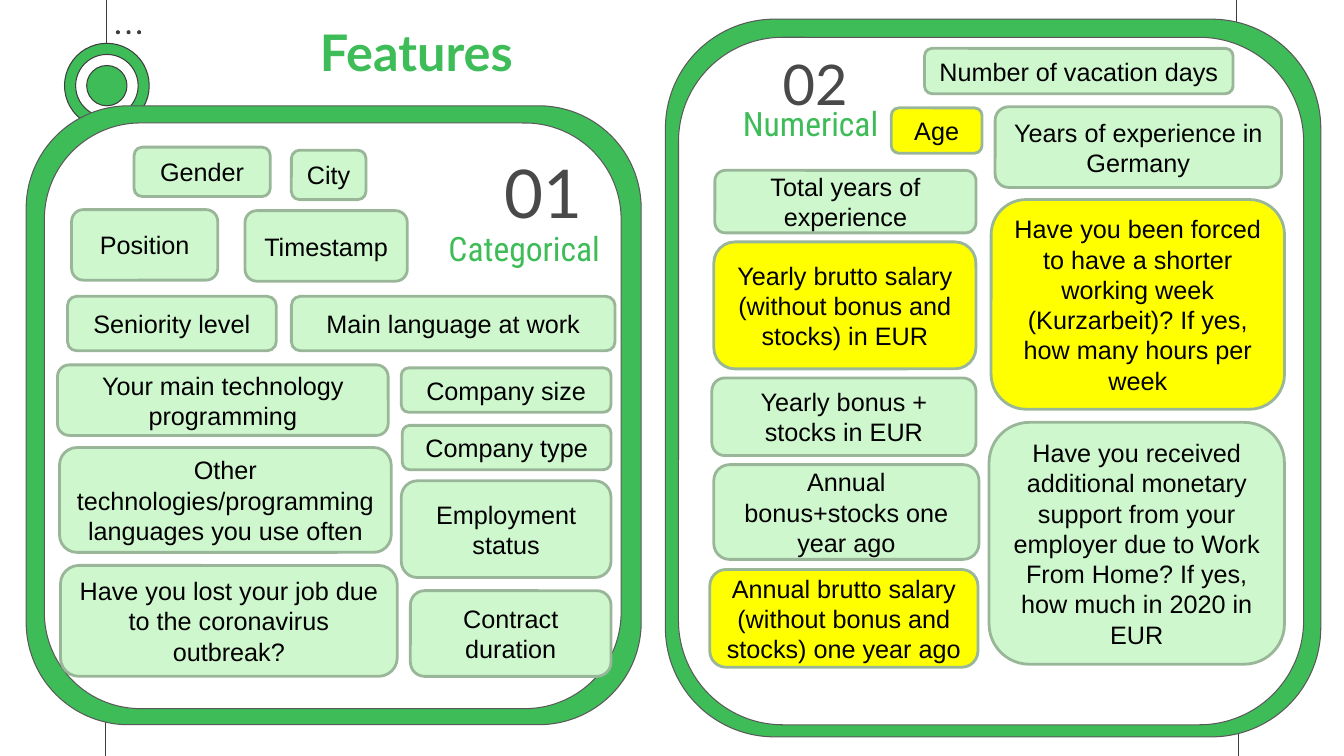
from lxml import etree
from pptx import Presentation
from pptx.dml.color import RGBColor
from pptx.enum.shapes import MSO_CONNECTOR, MSO_SHAPE
from pptx.enum.text import MSO_ANCHOR, PP_ALIGN
from pptx.oxml.ns import qn
from pptx.util import Inches, Pt

ROUNDED = MSO_SHAPE.ROUNDED_RECTANGLE
OVAL = MSO_SHAPE.OVAL
STRAIGHT = MSO_CONNECTOR.STRAIGHT
CENTER = PP_ALIGN.CENTER
TOP = MSO_ANCHOR.TOP
MIDDLE = MSO_ANCHOR.MIDDLE

GREEN, MINT, SAGE, YELLOW = "3DBC58", "CFF7CE", "99B798", "FFFF00"
WHITE, BLACK, DARK, GRAY, NUMBER = "FFFFFF", "000000", "3D3D3D", "595959", "494949"

CATEGORICAL_TILES = [
    ("Gender", 1.07, 0.41, 1.35, 0.49, MINT),
    ("City", 2.63, 0.44, 0.74, 0.49, MINT),
    ("Position", 0.45, 1.03, 1.45, 0.7, MINT),
    ("Timestamp", 2.17, 1.04, 1.61, 0.7, MINT),
    ("Seniority level", 0.41, 1.89, 2.07, 0.54, MINT),
    ("Main language at work", 2.63, 1.89, 3.21, 0.54, MINT),
    ("Your main technology programming", 0.31, 2.57, 3.28, 0.7, MINT),
    ("Company size", 3.72, 2.6, 2.08, 0.44, MINT),
    ("Company type", 3.73, 3.17, 2.07, 0.44, MINT),
    ("Other technologies/programming languages you use often",
     0.33, 3.39, 3.29, 1.04, MINT),
    ("Employment status", 3.72, 3.72, 2.08, 0.96, MINT),
    ("Have you lost your job due to the coronavirus outbreak?",
     0.34, 4.56, 3.34, 1.1, MINT),
    ("Contract duration", 3.81, 4.81, 1.99, 0.85, MINT),
]

NUMERICAL_TILES = [
    ("Number of vacation days", 2.57, 0.29, 3.06, 0.45, MINT),
    ("Age", 2.24, 0.88, 0.9, 0.45, YELLOW),
    ("Years of experience in Germany", 3.27, 0.87, 2.84, 0.8, MINT),
    ("Total years of experience", 0.49, 1.5, 2.59, 0.62, MINT),
    ("Yearly brutto salary (without bonus and stocks) in EUR",
     0.48, 2.21, 2.6, 1.26, YELLOW),
    ("Yearly bonus + stocks in EUR", 0.46, 3.56, 2.62, 0.77, MINT),
    ("Annual bonus+stocks one year ago", 0.48, 4.42, 2.63, 0.94, MINT),
    ("Annual brutto salary (without bonus and stocks) one year ago",
     0.44, 5.46, 2.66, 0.97, YELLOW),
    ("Have you been forced to have a shorter working week (Kurzarbeit)? "
     "If yes, how many hours per week", 3.23, 1.79, 2.91, 2.08, YELLOW),
    ("Have you received additional monetary support from your employer due to "
     "Work From Home? If yes, how much in 2020 in EUR", 3.21, 4, 2.93, 2.4, MINT),
]


def color(value):
    return RGBColor.from_string(value)


def add_figure(page, kind, box, fill, outline=None, weight=0.75):
    figure = page.shapes.add_shape(kind, *map(Inches, box))
    figure.shadow.inherit = False
    figure.fill.solid()
    figure.fill.fore_color.rgb = color(fill)
    if outline:
        figure.line.color.rgb = color(outline)
        figure.line.width = Pt(weight)
    else:
        figure.line.fill.background()
    return figure


def write(frame, text, font, size, shade, anchor=MIDDLE, bold=False):
    frame.word_wrap = True
    frame.vertical_anchor = anchor
    para = frame.paragraphs[0]
    para.text = text
    para.alignment = CENTER
    para.font.name = font
    para.font.size = Pt(size)
    para.font.bold = bold
    para.font.color.rgb = color(shade)


def add_heading(page, box, text, font, size, shade, anchor=MIDDLE, bold=False):
    frame = page.shapes.add_textbox(*map(Inches, box)).text_frame
    frame.margin_left = frame.margin_right = Inches(0.13)
    frame.margin_top = frame.margin_bottom = Inches(0.13)
    write(frame, text, font, size, shade, anchor, bold)


def add_vertical_line(page, x, top, bottom):
    line = page.shapes.add_connector(
        STRAIGHT, Inches(x), Inches(top), Inches(x), Inches(bottom))
    line.line.color.rgb = color(DARK)
    line.line.width = Pt(0.75)
    etree.SubElement(line._element.spPr, qn("a:effectLst"))


def add_backdrop(page, width, height):
    add_vertical_line(page, 1.06, 0, 3.65)
    add_vertical_line(page, 1.05, 4.35, height)
    add_vertical_line(page, width - 1.07, 0, 3.15)
    add_vertical_line(page, width - 1.05, 3.88, height)
    center_x, center_y = 1.06, 0.85
    for diameter, fill in ((0.84, GREEN), (0.62, WHITE), (0.4, GREEN)):
        box = (center_x - diameter / 2, center_y - diameter / 2, diameter, diameter)
        add_figure(page, OVAL, box, fill, DARK)
    for index in range(3):
        add_figure(page, OVAL, (1.15 + 0.105 * index, 0.3, 0.04, 0.04), DARK)


def add_panel(page, box, inner, tiles, number, caption):
    left, top = box[:2]

    def within(x, y, width, height):
        return left + x, top + y, width, height

    add_figure(page, ROUNDED, box, GREEN, GRAY)
    add_figure(page, ROUNDED, within(*inner), WHITE, GRAY)
    for text, x, y, width, height, fill in tiles:
        tile = add_figure(page, ROUNDED, within(x, y, width, height), fill, SAGE, 2)
        write(tile.text_frame, text, "Arial", 18, BLACK)
    caption_text, caption_box = caption
    add_heading(page, within(*caption_box), caption_text, "Roboto Condensed", 24, GREEN)
    number_text, number_box, size = number
    add_heading(page, within(*number_box), number_text, "Lato", size, NUMBER)


def main():
    deck = Presentation()
    deck.slide_width, deck.slide_height = Inches(13.33), Inches(7.5)
    page = deck.slides.add_slide(deck.slide_layouts[6])
    add_backdrop(page, 13.33, 7.5)
    add_panel(page, (6.6, 0.19, 6.5, 7.12), (0.13, 0.18, 6.2, 6.82), NUMERICAL_TILES,
              ("02", (0.96, 0.3, 1.05, 0.67), 40),
              ("Numerical", (-0.08, 0.83, 3.04, 0.41)))
    add_panel(page, (0.26, 1.05, 6.1, 6.14), (0.18, 0.17, 5.72, 5.81), CATEGORICAL_TILES,
              ("01", (4.27, 0.35, 1.72, 1), 48),
              ("Categorical", (3.42, 1.19, 3.04, 0.45)))
    add_heading(page, (2, 0.08, 4.26, 1.03), "Features", "Lato", 36, GREEN, TOP, True)
    deck.save("out.pptx")


if __name__ == "__main__":
    main()
